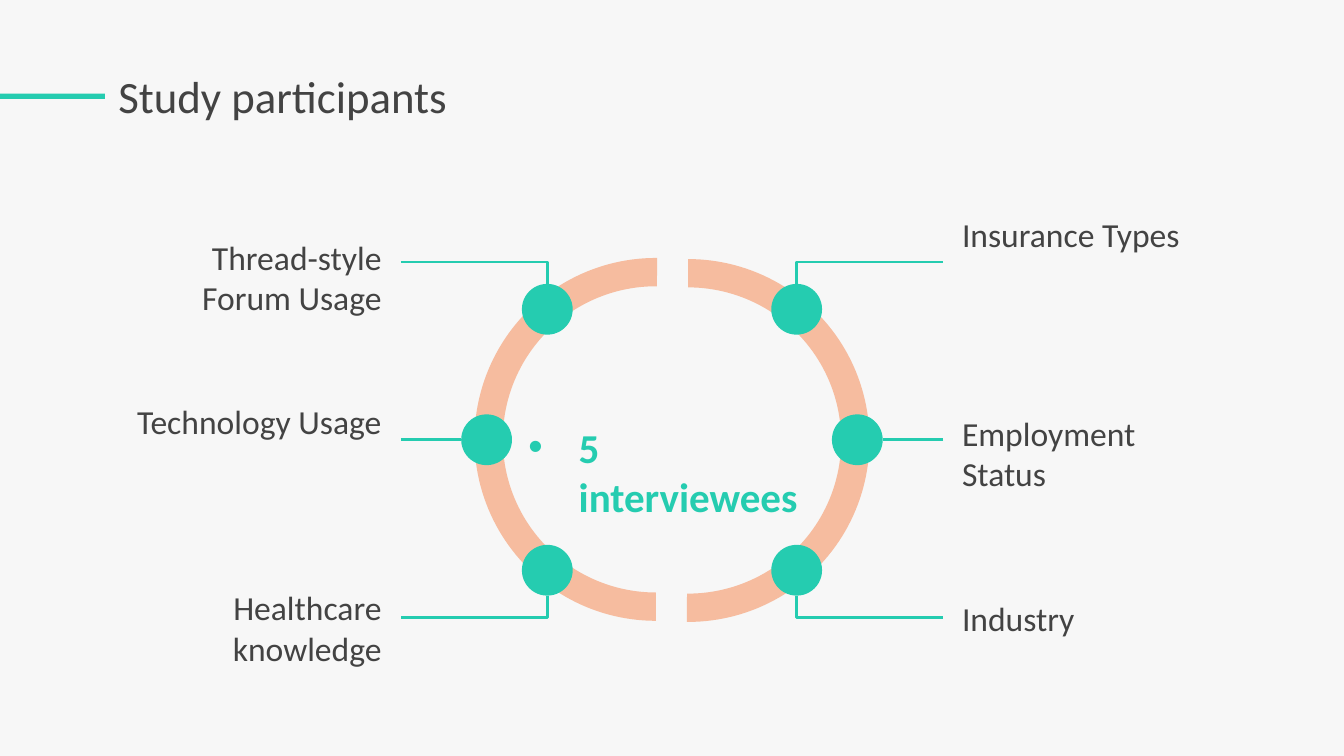
from collections import namedtuple

from lxml.etree import SubElement
from pptx import Presentation
from pptx.dml.color import RGBColor
from pptx.enum.shapes import MSO_CONNECTOR, MSO_SHAPE
from pptx.enum.text import MSO_ANCHOR, MSO_AUTO_SIZE, PP_ALIGN
from pptx.oxml.ns import qn
from pptx.util import Pt

COLORS = {"page": "F7F7F7", "text": "434343", "accent": "25CCB0", "ring": "F6BC9F"}
FONT = "Calibri"
DOT = 27.2
LABEL_WIDTH, LABEL_HEIGHT = 149, 36
LABELS = {
    -1: [("Thread-style Forum Usage", 119.5), ("Technology Usage", 207.4),
         ("Healthcare knowledge", 307.4)],
    1: [("Insurance Types", 107.3), ("Employment Status", 213.8), ("Industry", 313.2)],
}

Box = namedtuple("Box", "left top width height")


def color(name):
    return RGBColor.from_string(COLORS[name])


def write(shape, text, size, name, align=PP_ALIGN.LEFT, bold=False):
    frame = shape.text_frame
    frame.text = text
    frame.word_wrap = True
    frame.auto_size = MSO_AUTO_SIZE.NONE
    frame.vertical_anchor = MSO_ANCHOR.TOP
    frame.margin_left = frame.margin_right = Pt(7.2)
    frame.margin_top = frame.margin_bottom = Pt(7.2)
    para = frame.paragraphs[0]
    para.alignment = align
    para.space_before = Pt(0)
    para.font.name = FONT
    para.font.size = Pt(size)
    para.font.bold = bold
    para.font.color.rgb = color(name)


def place(shape, box):
    shape.left, shape.top, shape.width, shape.height = map(Pt, box)


def add_filled(page, kind, box, name):
    shape = page.shapes.add_shape(kind, *map(Pt, box))
    shape.shadow.inherit = False
    shape.fill.solid()
    shape.fill.fore_color.rgb = color(name)
    shape.line.fill.background()
    return shape


def add_line(page, start, end):
    bent = start[1] != end[1]
    kind = MSO_CONNECTOR.ELBOW if bent else MSO_CONNECTOR.STRAIGHT
    line = page.shapes.add_connector(kind, *map(Pt, start + end))
    line.line.color.rgb = color("accent")
    line.line.width = Pt(1.5)
    properties = line._element.spPr
    if bent:
        properties.find(qn("a:prstGeom")).set("prst", "bentConnector2")
    SubElement(properties, qn("a:effectLst"))


def add_heading(page, box):
    add_filled(page, MSO_SHAPE.RECTANGLE, Box(0, 50.2, box.left, 2.9), "accent")
    title = page.shapes.title
    place(title, box)
    write(title, "Study participants", 24, "text")


def add_ring(page, box):
    size = box.height
    halves = [(270, box.left, box.top), (90, box.left + box.width - size, box.top + 0.6)]
    for rotation, left, top in halves:
        arc = add_filled(page, MSO_SHAPE.BLOCK_ARC, Box(left, top, size, size), "ring")
        arc.rotation = rotation
        for index, value in enumerate((108, 0.228, 0.078)):
            arc.adjustments[index] = value


def add_spokes(page, box):
    center_x = box.left + box.width / 2
    center_y = box.top + box.height / 2
    for side in LABELS:
        for row, reach in ((-1, 66.8), (0, 99.3), (1, 66.8)):
            x = center_x + side * reach
            y = center_y + row * 69.9
            start = (center_x + side * box.width / 2, center_y + row * box.height / 2)
            end = (x, y + row * DOT / 2) if row else (x + side * DOT / 2, y)
            add_line(page, start, end)
            dot = Box(x - DOT / 2, y - DOT / 2, DOT, DOT)
            add_filled(page, MSO_SHAPE.OVAL, dot, "accent")


def add_labels(page, box):
    for side, labels in LABELS.items():
        left = box.left if side < 0 else box.left + box.width - LABEL_WIDTH
        align = PP_ALIGN.RIGHT if side < 0 else PP_ALIGN.LEFT
        for text, top in labels:
            label = page.shapes.add_textbox(Pt(left), Pt(top), Pt(LABEL_WIDTH), Pt(LABEL_HEIGHT))
            write(label, text, 18, "text", align)


def add_center(page, box):
    body = page.placeholders[1]
    place(body, box)
    body.text_frame.text = ""
    properties = body.text_frame.paragraphs[0]._p.get_or_add_pPr()
    properties.set("marL", "0")
    properties.set("indent", "0")
    SubElement(properties, qn("a:buNone"))
    write(body, "5 interviewees", 22, "accent", bold=True)


def main():
    deck = Presentation()
    deck.slide_width, deck.slide_height = Pt(720), Pt(405)
    page = deck.slides.add_slide(deck.slide_layouts[1])
    page.background.fill.solid()
    page.background.fill.fore_color.rgb = color("page")
    add_heading(page, Box(56.2, 29.5, 633, 45.4))
    add_ring(page, Box(254.2, 138.2, 211.6, 194.4))
    add_spokes(page, Box(214.8, 140.4, 290.4, 190.4))
    add_labels(page, Box(62.6, 107.3, 594.7, 242))
    add_center(page, Box(275.8, 218.9, 169.2, 34.6))
    deck.save("out.pptx")


if __name__ == "__main__":
    main()
